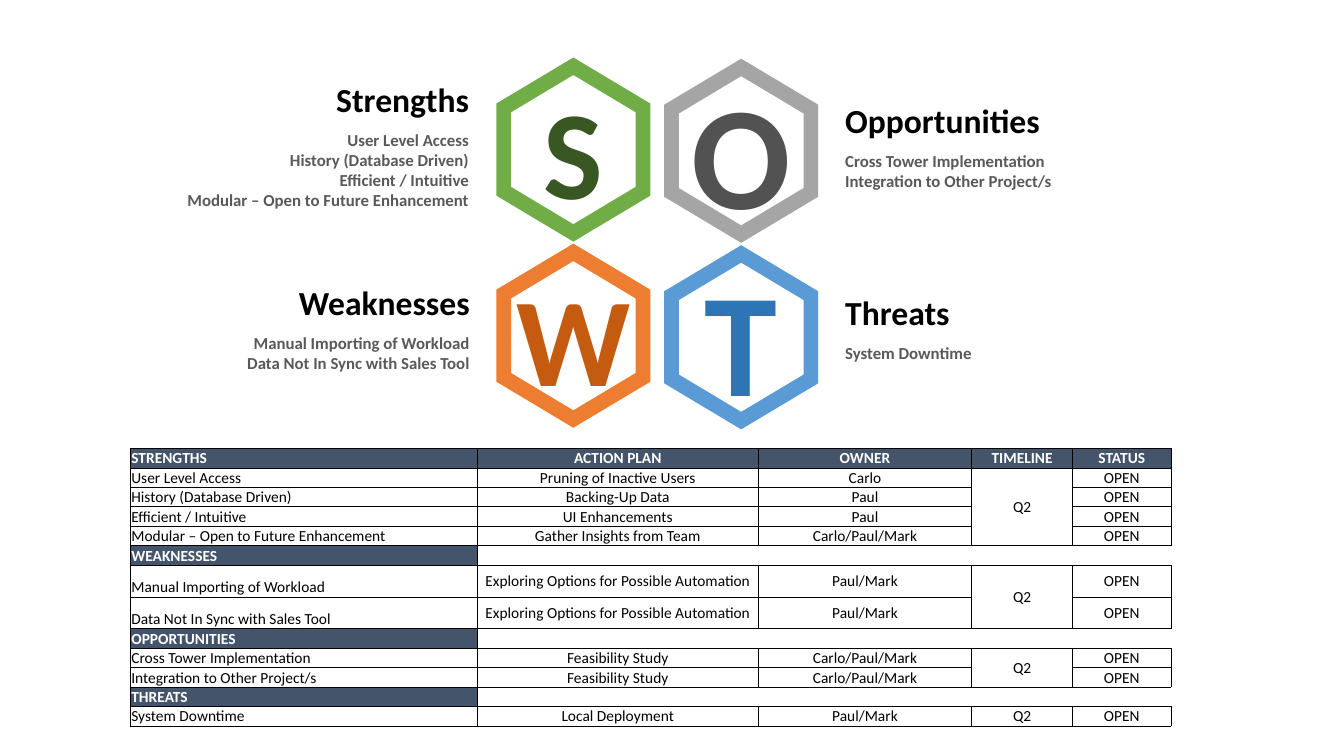
from lxml import etree
from pptx import Presentation
from pptx import util as u
from pptx.dml.color import RGBColor
from pptx.enum import text
from pptx.oxml import ns

THEME = {
    "font": "Calibri",
    "heading": "000000", "body": "595959", "ink": "000000",
    "band": "44546A", "band_text": "FFFFFF", "border": "000000",
    "heading_size": 24, "body_size": 12, "table_size": 11,
    "S": ("70AD47", "385723", 90), "W": ("ED7D31", "C55A11", 90),
    "O": ("A5A5A5", "525252", 105), "T": ("5B9BD5", "2E75B6", 105),
}
LEFT, CENTER, RIGHT = text.PP_ALIGN.LEFT, text.PP_ALIGN.CENTER, text.PP_ALIGN.RIGHT
TOP, MIDDLE, BOTTOM = text.MSO_ANCHOR.TOP, text.MSO_ANCHOR.MIDDLE, text.MSO_ANCHOR.BOTTOM

QUADRANTS = [
    {"title": "Strengths", "center": (14.45, 3.77), "text_at": (3.67, 1.86),
     "align": RIGHT, "body_height": 2.31, "row_height": 0.49,
     "items": [("User Level Access", "Pruning of Inactive Users", "Carlo"),
               ("History (Database Driven)", "Backing-Up Data", "Paul"),
               ("Efficient / Intuitive", "UI Enhancements", "Paul"),
               ("Modular – Open to Future Enhancement", "Gather Insights from Team", "Carlo/Paul/Mark")]},
    {"title": "Weaknesses", "center": (14.45, 8.46), "text_at": (3.69, 6.97),
     "align": RIGHT, "body_height": 1.8, "row_height": 0.8,
     "items": [("Manual Importing of Workload", "Exploring Options for Possible Automation", "Paul/Mark"),
               ("Data Not In Sync with Sales Tool", "Exploring Options for Possible Automation", "Paul/Mark")]},
    {"title": "Opportunities", "center": (18.68, 3.8), "text_at": (21.3, 2.39),
     "align": LEFT, "body_height": 1.28, "row_height": 0.49,
     "items": [("Cross Tower Implementation", "Feasibility Study", "Carlo/Paul/Mark"),
               ("Integration to Other Project/s", "Feasibility Study", "Carlo/Paul/Mark")]},
    {"title": "Threats", "center": (18.68, 8.5), "text_at": (21.3, 7.22),
     "align": LEFT, "body_height": 1.28, "row_height": 0.49,
     "items": [("System Downtime", "Local Deployment", "Paul/Mark")]},
]


def write(frame, lines, size, color, align, anchor, bold=True):
    frame.word_wrap = True
    frame.vertical_anchor = anchor
    for index, line in enumerate(lines):
        paragraph = frame.add_paragraph() if index else frame.paragraphs[0]
        paragraph.alignment = align
        run = paragraph.add_run()
        run.text = line
        run.font.name = THEME["font"]
        run.font.size = u.Pt(size)
        run.font.bold = bold
        run.font.color.rgb = RGBColor.from_string(color)


def style_cell(cell, sides, fill):
    cell.margin_left = cell.margin_right = cell.margin_top = u.Cm(0.02)
    cell.margin_bottom = 0
    properties = cell._tc.get_or_add_tcPr()
    for side in "LRTB":
        line = etree.SubElement(properties, ns.qn(f"a:ln{side}"), w=str(u.Pt(0.5)))
        if side in sides:
            solid = etree.SubElement(line, ns.qn("a:solidFill"))
            etree.SubElement(solid, ns.qn("a:srgbClr"), val=THEME["border"])
        else:
            etree.SubElement(line, ns.qn("a:noFill"))
    if fill:
        cell.fill.solid()
        cell.fill.fore_color.rgb = RGBColor.from_string(fill)
    else:
        cell.fill.background()


presentation = Presentation()
presentation.slide_width, presentation.slide_height = u.Cm(33.87), u.Cm(19.05)
slide = presentation.slides.add_slide(presentation.slide_layouts[6])

for quadrant in QUADRANTS:
    letter = quadrant["title"][0]
    fill, letter_color, letter_size = THEME[letter]
    center_x, center_y = quadrant["center"]
    rings = []
    for half_width, half_height in ((1.94, 2.32), (1.57, 1.88)):
        corners = [(0, -1), (-1, -0.5), (-1, 0.5), (0, 1), (1, 0.5), (1, -0.5)]
        rings.append([(u.Cm(center_x + x * half_width), u.Cm(center_y + y * half_height))
                      for x, y in corners])
    outer, inner = rings
    builder = slide.shapes.build_freeform(*outer[0])
    builder.add_line_segments(outer[1:], close=True)
    builder.move_to(*inner[0])
    builder.add_line_segments(inner[1:], close=True)
    hexagon = builder.convert_to_shape()
    hexagon.shadow.inherit = False
    hexagon.fill.solid()
    hexagon.fill.fore_color.rgb = RGBColor.from_string(fill)
    hexagon.line.fill.background()
    write(hexagon.text_frame, [letter], letter_size, letter_color, CENTER, MIDDLE)

    left, top = quadrant["text_at"]
    group = slide.shapes.add_group_shape()
    names = [item[0] for item in quadrant["items"]]
    for lines, box_top, height, size, color, anchor in (
            ([quadrant["title"]], top, 1.28, THEME["heading_size"], THEME["heading"], BOTTOM),
            (names, top + 1.28, quadrant["body_height"], THEME["body_size"], THEME["body"], TOP)):
        box = group.shapes.add_textbox(u.Cm(left), u.Cm(box_top), u.Cm(8.15), u.Cm(height))
        box.text_frame.margin_left = box.text_frame.margin_right = 0
        write(box.text_frame, lines, size, color, quadrant["align"], anchor)

rows = []
timelines = []
for quadrant in QUADRANTS:
    headings = ["ACTION PLAN", "OWNER", "TIMELINE", "STATUS"] if not rows else [""] * 4
    rows.append((True, 0.49, [quadrant["title"].upper(), *headings]))
    timelines.append((len(rows), len(rows) + len(quadrant["items"]) - 1))
    for index, item in enumerate(quadrant["items"]):
        timeline = "" if index else "Q2"
        rows.append((False, quadrant["row_height"], [*item, timeline, "OPEN"]))

column_widths = [8.74, 7.08, 5.38, 2.54, 2.48]
table = slide.shapes.add_table(
    len(rows), len(column_widths), u.Cm(3.29), u.Cm(11.3),
    u.Cm(sum(column_widths)), u.Cm(sum(row[1] for row in rows))).table
table.first_row = table.horz_banding = False
for column, width in zip(table.columns, column_widths):
    column.width = u.Cm(width)
for row_index, (is_band, height, values) in enumerate(rows):
    table.rows[row_index].height = u.Cm(height)
    for column_index, value in enumerate(values):
        cell = table.cell(row_index, column_index)
        filled = is_band and value
        open_band = is_band and not value
        sides = ("LTB" if column_index == 1 else "TB") if open_band else "LRTB"
        style_cell(cell, sides, THEME["band"] if filled else None)
        if value:
            write(cell.text_frame, [value], THEME["table_size"],
                  THEME["band_text"] if is_band else THEME["ink"],
                  CENTER if column_index else LEFT,
                  MIDDLE if column_index and not is_band else BOTTOM, is_band)
            cell.vertical_anchor = MIDDLE if column_index and not is_band else BOTTOM
        else:
            etree.SubElement(cell.text_frame.paragraphs[0]._p, ns.qn("a:endParaRPr"),
                             sz=str(THEME["table_size"] * 100))
for first, last in timelines:
    if last > first:
        table.cell(first, 3).merge(table.cell(last, 3))

presentation.save("out.pptx")
